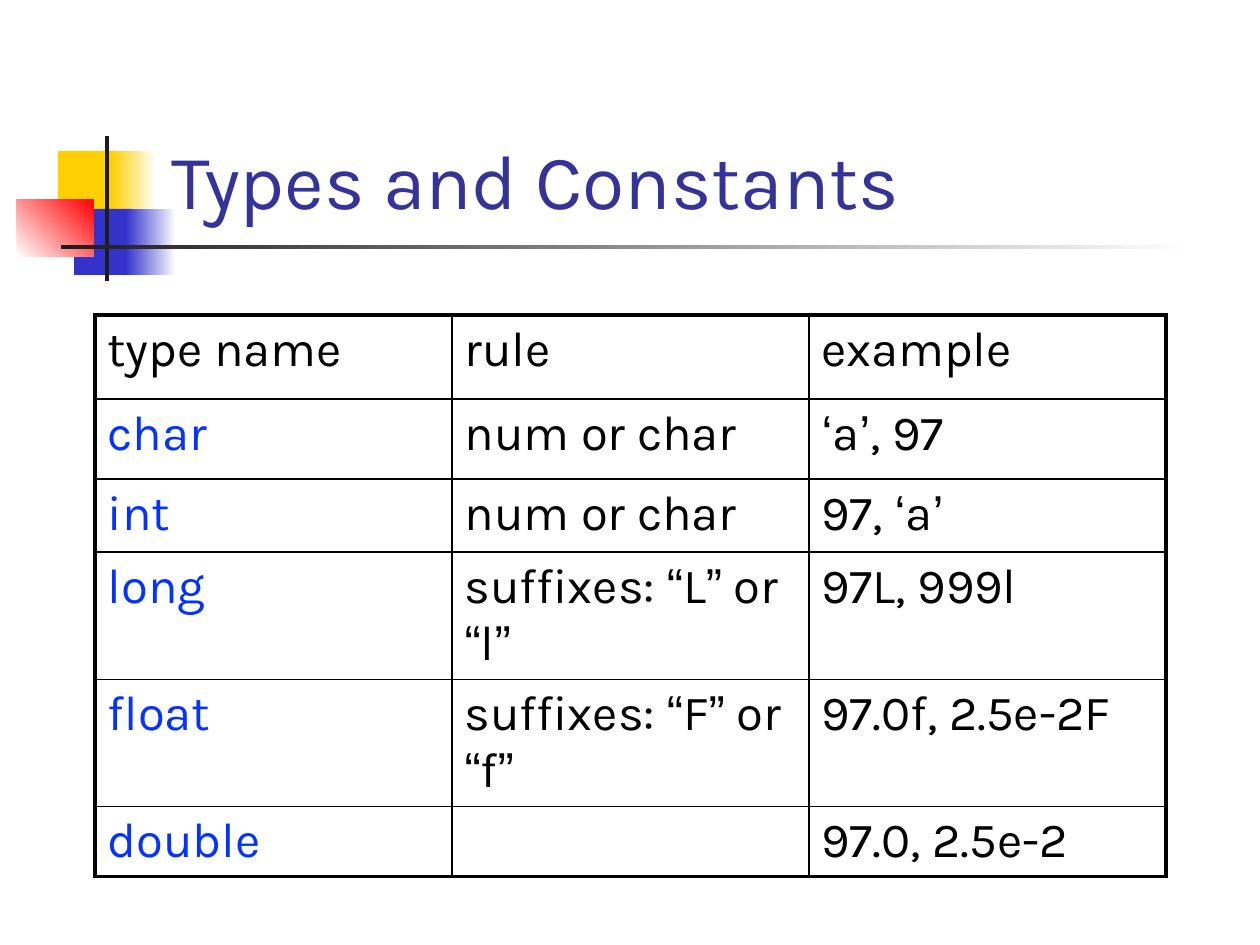
from itertools import groupby

from lxml.etree import SubElement
from pptx import Presentation
from pptx.dml.color import RGBColor
from pptx.enum.shapes import MSO_SHAPE
from pptx.enum.text import MSO_ANCHOR, MSO_AUTO_SIZE, PP_ALIGN
from pptx.oxml.ns import qn
from pptx.util import Pt

SCALE = 914400 / 126
BLACK = RGBColor(0, 0, 0)
WHITE = RGBColor(255, 255, 255)
CHARCOAL = RGBColor(0x1C, 0x1C, 0x1C)
YELLOW = RGBColor(0xFF, 0xCF, 0x01)
BLUE = RGBColor(0x33, 0x33, 0xCC)
RED = RGBColor(255, 0, 0)
NAVY = RGBColor(0x33, 0x33, 0x99)
KEYWORD = RGBColor(0x04, 0x32, 0xFF)
QUOTES = "‘’“”"

TITLE = "Types and Constants"
TITLE_BOX = (159, 29, 1074, 202)
DECOR = [
    ((58, 151, 60, 66), (YELLOW,), 0),
    ((111, 151, 45, 66), (YELLOW, WHITE), 0),
    ((74, 209, 58, 66), (BLUE,), 0),
    ((126, 209, 50, 66), (BLUE, WHITE), 0),
    ((17, 199, 77, 58), (WHITE, RED), 45),
    ((105, 136, 4, 145), (CHARCOAL,), 0),
    ((61, 245, 1134, 4), (CHARCOAL, WHITE), 0),
]
ROWS = [
    ("type name", "rule", "example"),
    ("char", "num or char", "‘a’, 97"),
    ("int", "num or char", "97, ‘a’"),
    ("long", "suffixes: “L” or “l”", "97L, 999l"),
    ("float", "suffixes: “F” or “f”", "97.0f, 2.5e-2F"),
    ("double", "", "97.0, 2.5e-2"),
]
ROW_HEIGHTS = (84, 80, 73, 88, 79, 54)
COLUMN_WIDTH = 357
TABLE_LEFT, TABLE_TOP = 95, 315


def px(value):
    return round(value * SCALE)


def write(frame, text, size, color):
    para = frame.paragraphs[0]
    para.alignment = PP_ALIGN.LEFT
    for quoted, letters in groupby(text, lambda letter: letter in QUOTES):
        span = para.add_run()
        span.text = "".join(letters)
        span.font.name = "Arial" if quoted else "Karla"
        span.font.size = Pt(size)
        span.font.color.rgb = color


def add_block(page, place, colors, angle):
    block = page.shapes.add_shape(MSO_SHAPE.RECTANGLE, *map(px, place))
    block.shadow.inherit = False
    block.line.fill.background()
    if len(colors) == 1:
        block.fill.solid()
        block.fill.fore_color.rgb = colors[0]
        return
    block.fill.gradient()
    block.fill.gradient_angle = angle
    for stop, color in zip(block.fill.gradient_stops, colors):
        stop.color.rgb = color


def add_borders(cell, outer_sides):
    properties = cell._tc.get_or_add_tcPr()
    for side, outer in zip("LRTB", outer_sides):
        width = Pt(2.25 if outer else 1)
        line = SubElement(properties, qn(f"a:ln{side}"), w=str(width))
        fill = SubElement(line, qn("a:solidFill"))
        SubElement(fill, qn("a:srgbClr"), val=str(BLACK))


def add_types_table(page):
    columns = len(ROWS[0])
    place = (TABLE_LEFT, TABLE_TOP, COLUMN_WIDTH * columns, sum(ROW_HEIGHTS))
    table = page.shapes.add_table(len(ROWS), columns, *map(px, place)).table
    table.first_row = table.horz_banding = False
    for column in table.columns:
        column.width = px(COLUMN_WIDTH)
    for r, (texts, height) in enumerate(zip(ROWS, ROW_HEIGHTS)):
        table.rows[r].height = px(height)
        for c, text in enumerate(texts):
            cell = table.cell(r, c)
            add_borders(cell, (c == 0, c == columns - 1, r == 0, r == len(ROWS) - 1))
            cell.fill.background()
            write(cell.text_frame, text, size=28, color=KEYWORD if r and c == 0 else BLACK)


def main():
    deck = Presentation()
    deck.slide_width, deck.slide_height = px(1260), px(945)
    page = deck.slides.add_slide(deck.slide_layouts[5])
    for place, colors, angle in DECOR:
        add_block(page, place, colors, angle)

    title = page.shapes.title
    title.left, title.top, title.width, title.height = map(px, TITLE_BOX)
    title.text_frame.vertical_anchor = MSO_ANCHOR.BOTTOM
    title.text_frame.auto_size = MSO_AUTO_SIZE.NONE
    write(title.text_frame, TITLE, size=44, color=NAVY)
    page.shapes._spTree.append(title._element)

    add_types_table(page)
    deck.save("out.pptx")


if __name__ == "__main__":
    main()
